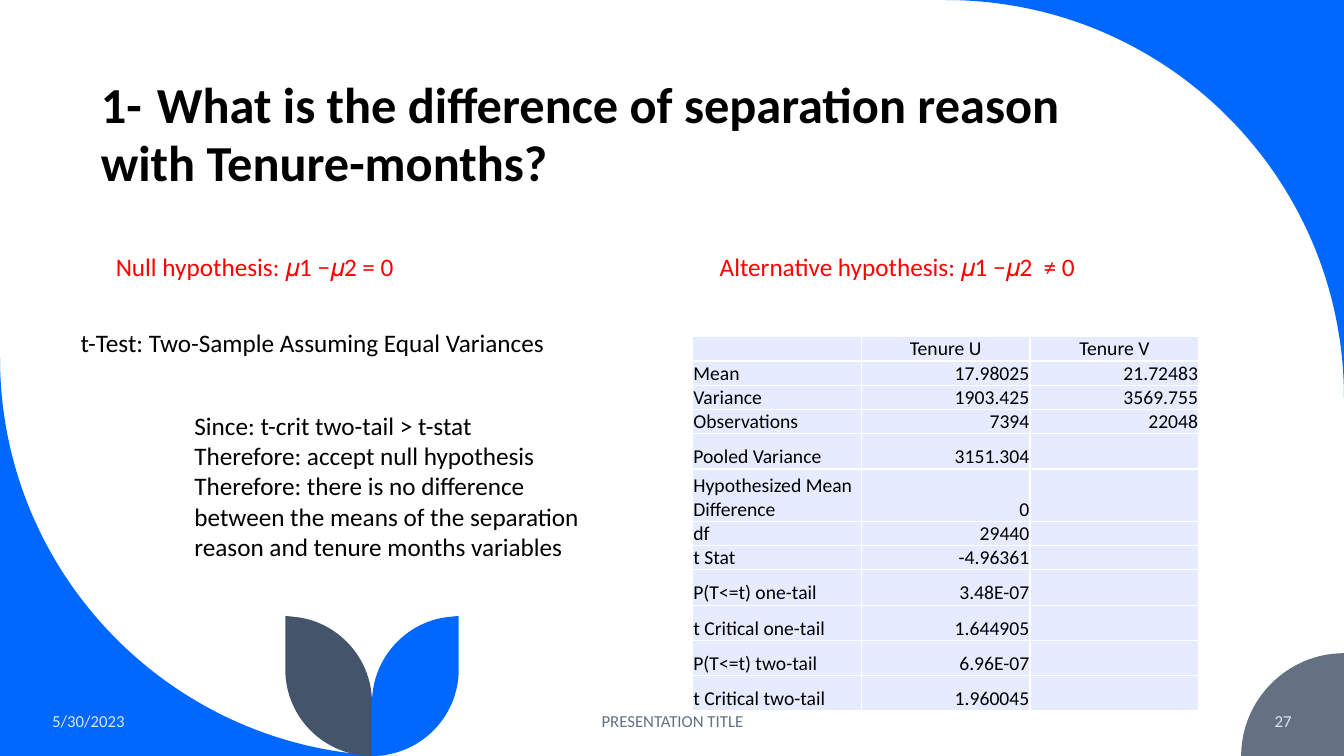
from lxml.etree import SubElement
from pptx import Presentation
from pptx.dml.color import RGBColor
from pptx.enum.text import MSO_ANCHOR, MSO_AUTO_SIZE, PP_ALIGN
from pptx.oxml.ns import qn
from pptx.util import Inches, Pt

COLORS = {
    "white": "FFFFFF", "black": "000000", "red": "FF0000", "blue": "0068FF",
    "slate": "44546A", "gray": "637183", "pale": "DAE5EF", "cell": "E7EBFF",
}
FONT = "Calibri"
CENTER_X = 3.69
TALL, WRAPPED, SHORT = 0.35, 0.52, 0.18
TABLE_ROWS = [
    (SHORT, "", "Tenure U", "Tenure V"),
    (SHORT, "Mean", "17.98025", "21.72483"),
    (SHORT, "Variance", "1903.425", "3569.755"),
    (SHORT, "Observations", "7394", "22048"),
    (TALL, "Pooled Variance", "3151.304", ""),
    (WRAPPED, "Hypothesized Mean Difference", "0", ""),
    (SHORT, "df", "29440", ""),
    (SHORT, "t Stat", "-4.96361", ""),
    (TALL, "P(T<=t) one-tail", "3.48E-07", ""),
    (TALL, "t Critical one-tail", "1.644905", ""),
    (TALL, "P(T<=t) two-tail", "6.96E-07", ""),
    (TALL, "t Critical two-tail", "1.960045", ""),
]


class SlideBuilder:
    def __init__(self, presentation):
        self.slide = presentation.slides.add_slide(presentation.slide_layouts[5])
        self.shapes = self.slide.shapes
        self.slide.background.fill.solid()
        self.slide.background.fill.fore_color.rgb = self.color("white")

    def color(self, name):
        return RGBColor.from_string(COLORS[name])

    def style_run(self, run, size, color, bold=False):
        run.font.name = FONT
        run.font.size = Pt(size)
        run.font.bold = bold
        run.font.color.rgb = self.color(color)

    def outline(self, points, curve_starts, color):
        """Draw a closed outline; each curve start is the index of a point that
        is followed by two control points and the end of a Bezier curve."""
        emu_points = [(Inches(x), Inches(y)) for x, y in points]
        builder = self.shapes.build_freeform(*emu_points[0])
        builder.add_line_segments(emu_points[1:], close=True)
        shape = builder.convert_to_shape()
        segments = list(shape.element.iter(qn("a:lnTo")))
        for start in curve_starts:
            first, *others = segments[start:start + 3]
            bezier = first.makeelement(qn("a:cubicBezTo"), {})
            first.addprevious(bezier)
            for segment in (first, *others):
                bezier.append(segment[0])
                segment.getparent().remove(segment)
        shape.shadow.inherit = False
        shape.fill.solid()
        shape.fill.fore_color.rgb = self.color(color)
        shape.line.fill.background()

    def title(self, parts, left, top, width, height):
        """Fill the title from (text, size) parts and bring it to the front."""
        title = self.shapes.title
        title.left, title.top = Inches(left), Inches(top)
        title.width, title.height = Inches(width), Inches(height)
        frame = title.text_frame
        frame.word_wrap = True
        frame.auto_size = MSO_AUTO_SIZE.NONE
        frame.vertical_anchor = MSO_ANCHOR.BOTTOM
        frame.margin_bottom = Inches(0.66)
        paragraph = frame.paragraphs[0]
        paragraph.alignment = PP_ALIGN.LEFT
        paragraph.line_spacing = 0.9
        for text, size in parts:
            run = paragraph.add_run()
            run.text = text
            self.style_run(run, size, "black", bold=True)
        self.shapes.element.append(title.element)

    def text(self, text, left, top, width, height, size=18, color="black",
             alignment=PP_ALIGN.LEFT, anchor=MSO_ANCHOR.TOP):
        box = self.shapes.add_textbox(Inches(left), Inches(top),
                                      Inches(width), Inches(height))
        frame = box.text_frame
        frame.word_wrap = True
        frame.vertical_anchor = anchor
        frame.text = text
        for paragraph in frame.paragraphs:
            paragraph.alignment = alignment
            for run in paragraph.runs:
                self.style_run(run, size, color)

    def footer(self, text, left, width, color, alignment):
        self.text(text, left, 6.95, width, 0.4, 12, color, alignment, MSO_ANCHOR.MIDDLE)

    def cell_borders(self, cell):
        properties = cell._tc.get_or_add_tcPr()
        for index, side in enumerate(("a:lnL", "a:lnR", "a:lnT", "a:lnB")):
            line = properties.makeelement(qn(side), {"w": str(Pt(1))})
            properties.insert(index, line)
            fill = SubElement(line, qn("a:solidFill"))
            SubElement(fill, qn("a:srgbClr"), val=COLORS["white"])

    def cell(self, cell, text, alignment):
        cell.fill.solid()
        cell.fill.fore_color.rgb = self.color("cell")
        cell.vertical_anchor = MSO_ANCHOR.BOTTOM
        cell.margin_left = cell.margin_right = cell.margin_top = Pt(0.5)
        cell.margin_bottom = 0
        paragraph = cell.text_frame.paragraphs[0]
        if text:
            paragraph.text = text
            paragraph.alignment = alignment
            self.style_run(paragraph.runs[0], 14, "black")
        else:
            SubElement(paragraph._p, qn("a:endParaRPr"), sz="1400")
        self.cell_borders(cell)

    def table(self, rows, left, top, width, height):
        column_count = len(rows[0]) - 1
        table = self.shapes.add_table(
            len(rows), column_count, Inches(left), Inches(top),
            Inches(width), Inches(height)).table
        table.first_row = table.horz_banding = False
        for column in table.columns:
            column.width = Inches(width / column_count)
        for row_index, (row_height, *texts) in enumerate(rows):
            table.rows[row_index].height = Inches(row_height)
            for column_index, text in enumerate(texts):
                if row_index == 0:
                    alignment = PP_ALIGN.CENTER
                else:
                    alignment = PP_ALIGN.RIGHT if column_index else PP_ALIGN.LEFT
                self.cell(table.cell(row_index, column_index), text, alignment)


def add_decoration(builder):
    builder.outline([(13.33, 3.95), (13.33, 1.77), (11.57, 0), (9.38, 0), (13.33, 0)],
                    [0], "blue")
    builder.outline([(0, 3.55), (0, 5.73), (1.77, 7.5), (3.95, 7.5), (0, 7.5)],
                    [0], "blue")
    builder.outline([(13.33, 6.48), (12.77, 6.48), (12.31, 6.94), (12.31, 7.5),
                     (13.33, 7.5)], [0], "gray")

    right_leaf = [(4.55, 6.11), (4.55, 6.64), (4.55, 7.12), (4.16, 7.5),
                  (CENTER_X, 7.5), (CENTER_X, 6.97), (CENTER_X, 6.53),
                  (4.03, 6.16), (4.46, 6.12)]
    left_leaf = [(2 * CENTER_X - x, y) for x, y in right_leaf]
    builder.outline(right_leaf, [1, 5], "blue")
    builder.outline(left_leaf, [1, 5], "slate")


def main():
    presentation = Presentation()
    presentation.slide_width = Inches(13.33)
    presentation.slide_height = Inches(7.5)
    builder = SlideBuilder(presentation)

    add_decoration(builder)
    builder.title([("1-", 36), (" ", 48),
                   ("What is the difference of separation reason with Tenure-months?", 36)],
                  0.9, 0.08, 10.69, 2.49)
    builder.footer("5/30/2023", 0.42, 1.93, "pale", PP_ALIGN.LEFT)
    builder.footer("PRESENTATION TITLE", 4.42, 4.5, "gray", PP_ALIGN.CENTER)
    builder.footer("27", 11.1, 1.81, "pale", PP_ALIGN.RIGHT)

    builder.text("Alternative hypothesis: 𝜇1 −𝜇2  ≠ 0", 7.04, 2.44, 4.33, 0.4, color="red")
    builder.text("t-Test: Two-Sample Assuming Equal Variances", 0.7, 3.2, 6.88, 0.4)
    builder.table(TABLE_ROWS, 6.87, 3.34, 5.02, 3.73)
    builder.text("Since: t-crit two-tail > t-stat\n"
                 "Therefore: accept null hypothesis\n"
                 "Therefore: there is no difference between the means of the "
                 "separation reason and tenure months variables",
                 1.83, 4.02, 4.33, 1.92)
    builder.text("Null hypothesis: 𝜇1 −𝜇2 = 0", 1.05, 2.44, 5.24, 0.4, color="red")
    presentation.save("out.pptx")


if __name__ == "__main__":
    main()
